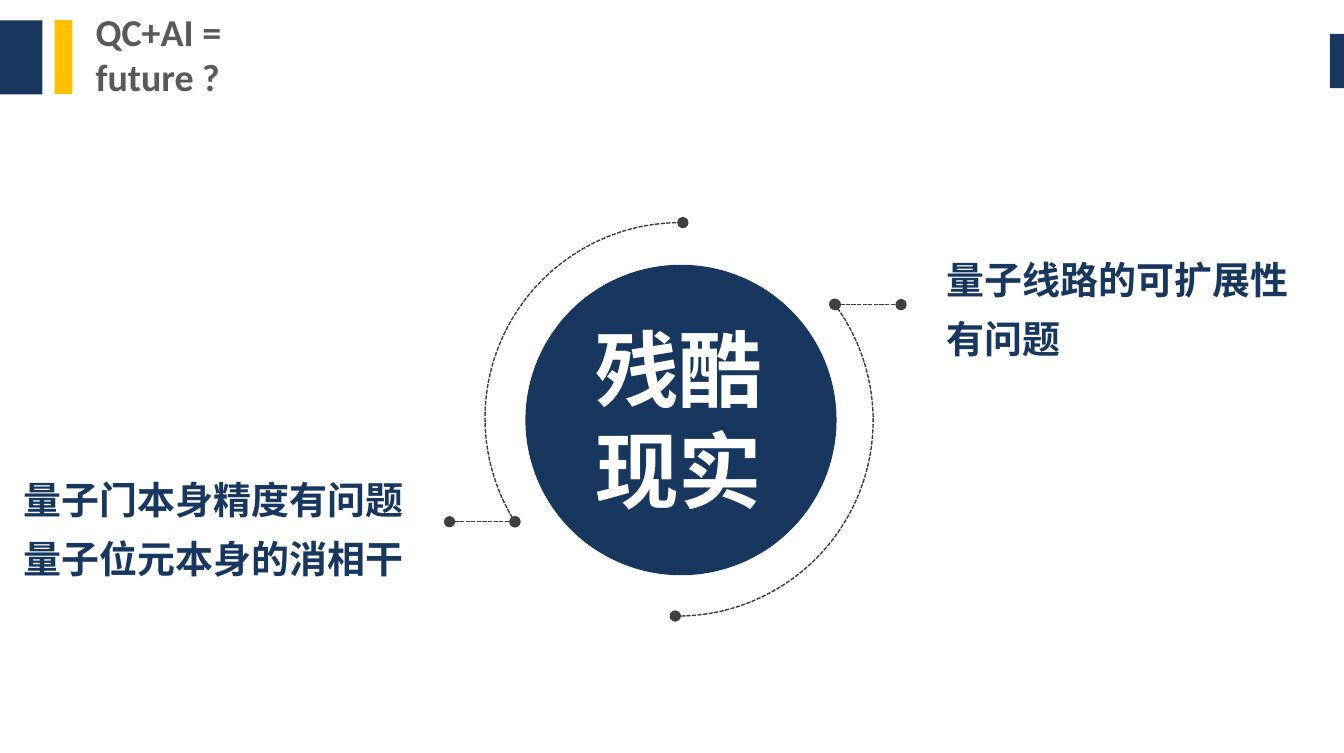
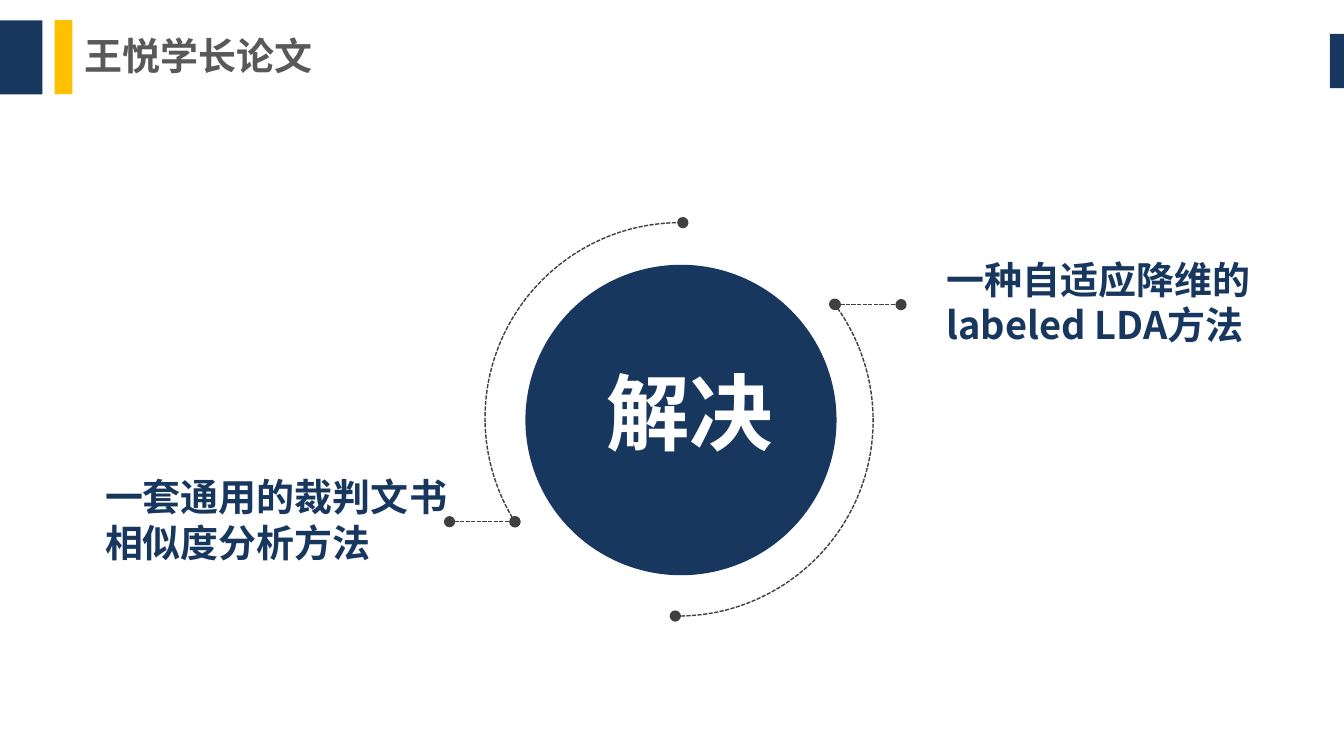
from lxml.etree import SubElement
from pptx import Presentation
from pptx.dml.color import RGBColor
from pptx.enum.dml import MSO_LINE
from pptx.enum.shapes import MSO_CONNECTOR, MSO_SHAPE
from pptx.enum.text import MSO_ANCHOR
from pptx.oxml.ns import qn
from pptx.util import Pt

NAVY, GOLD, GREY, DARK, WHITE = "17375E", "FFC000", "595959", "404040", "FFFFFF"
CJK_FONT = "Noto Sans CJK SC"


def rgb(value):
    return RGBColor.from_string(value)


class Deck:
    def __init__(self):
        self.prs = Presentation()
        self.prs.slide_width = Pt(708.5)
        self.prs.slide_height = Pt(396.75)
        self.s = None

    def add_slide(self):
        self.s = self.prs.slides.add_slide(self.prs.slide_layouts[6])

    def shape(self, kind, box, color):
        sp = self.s.shapes.add_shape(kind, *map(Pt, box))
        sp.shadow.inherit = False
        sp.fill.solid()
        sp.fill.fore_color.rgb = rgb(color)
        sp.line.fill.background()

    def dotted_line(self, sp):
        sp.line.color.rgb = rgb(DARK)
        sp.line.width = Pt(0.75)
        sp.line.dash_style = MSO_LINE.SQUARE_DOT
        ln = sp.line._get_or_add_ln()
        for end in ("a:headEnd", "a:tailEnd"):
            SubElement(ln, qn(end), type="oval")

    def arc(self, box, start, stop):
        sp = self.s.shapes.add_shape(MSO_SHAPE.ARC, *map(Pt, box))
        sp.shadow.inherit = False
        sp.fill.background()
        for i, degrees in enumerate((start, stop)):
            sp.adjustments[i] = degrees * 0.6
        self.dotted_line(sp)

    def link(self, x1, x2, y):
        sp = self.s.shapes.add_connector(
            MSO_CONNECTOR.STRAIGHT, Pt(x1), Pt(y), Pt(x2), Pt(y))
        self.dotted_line(sp)
        SubElement(sp._element.spPr, qn("a:effectLst"))

    def text(self, box, text, size, color, inset=(0, 0), font=CJK_FONT,
             anchor=MSO_ANCHOR.MIDDLE, spacing=1.0):
        tf = self.s.shapes.add_textbox(*map(Pt, box)).text_frame
        tf.word_wrap = True
        tf.vertical_anchor = anchor
        tf.margin_left = tf.margin_right = Pt(inset[0])
        tf.margin_top = tf.margin_bottom = Pt(inset[1])
        tf.text = text
        for p in tf.paragraphs:
            p.line_spacing = spacing
            for r in p.runs:
                r.font.size = Pt(size)
                r.font.bold = True
                r.font.color.rgb = rgb(color)
                r.font.name = font
                SubElement(r.font._element, qn("a:ea"), typeface=CJK_FONT)

    def title(self, box, text):
        self.text(box, text, 20, GREY, font="Calibri")

    def label(self, box, text, spacing=1.0):
        self.text(box, text, 20, NAVY, inset=(5, 2.7), spacing=spacing)

    def hub_text(self, box, text):
        self.text(box, text, 44, WHITE, inset=(7.2, 3.6), anchor=MSO_ANCHOR.TOP)

    def frame(self):
        self.shape(MSO_SHAPE.RECTANGLE, (0, 10.8, 22.4, 39), NAVY)
        self.shape(MSO_SHAPE.RECTANGLE, (28.8, 10.6, 9.4, 39), GOLD)
        self.shape(MSO_SHAPE.RECTANGLE, (701, 17.8, 7.5, 28.6), NAVY)

    def hub(self):
        self.shape(MSO_SHAPE.OVAL, (277, 139.5, 164, 163.6), NAVY)
        self.shape(MSO_SHAPE.OVAL, (287.3, 151.2, 140.4, 139.7), NAVY)
        self.arc((255.7, 117.3, 206.4, 206), 148, 270.6)
        self.arc((253.9, 118.6, 206.4, 206), 323.5, 90.6)
        self.link(440.4, 475, 160.5)
        self.link(237, 271.5, 274.9)


def main():
    deck = Deck()

    deck.add_slide()
    deck.frame()
    deck.hub()
    deck.title((50.4, 4.3, 127.4, 48.2), "QC+AI = future ?")
    deck.hub_text((306.7, 164.2, 161.3, 113), "残酷\n现实")
    deck.label((7.2, 241.2, 213.8, 67.7),
               "量子门本身精度有问题\n量子位元本身的消相干", 1.3)
    deck.label((494, 125.3, 214, 67.7), "量子线路的可扩展性\n有问题", 1.3)

    deck.add_slide()
    deck.frame()
    deck.hub()
    deck.title((44.6, 17.3, 127.4, 23.8), "王悦学长论文")
    deck.hub_text((312.5, 186.5, 161.3, 60.5), "解决")
    deck.label((50.4, 247, 192.2, 53.3), "一套通用的裁判文书相似度分析方法")
    deck.label((494, 132.5, 214, 53.3), "一种自适应降维的labeled LDA方法")

    deck.prs.save("out.pptx")


if __name__ == "__main__":
    main()
